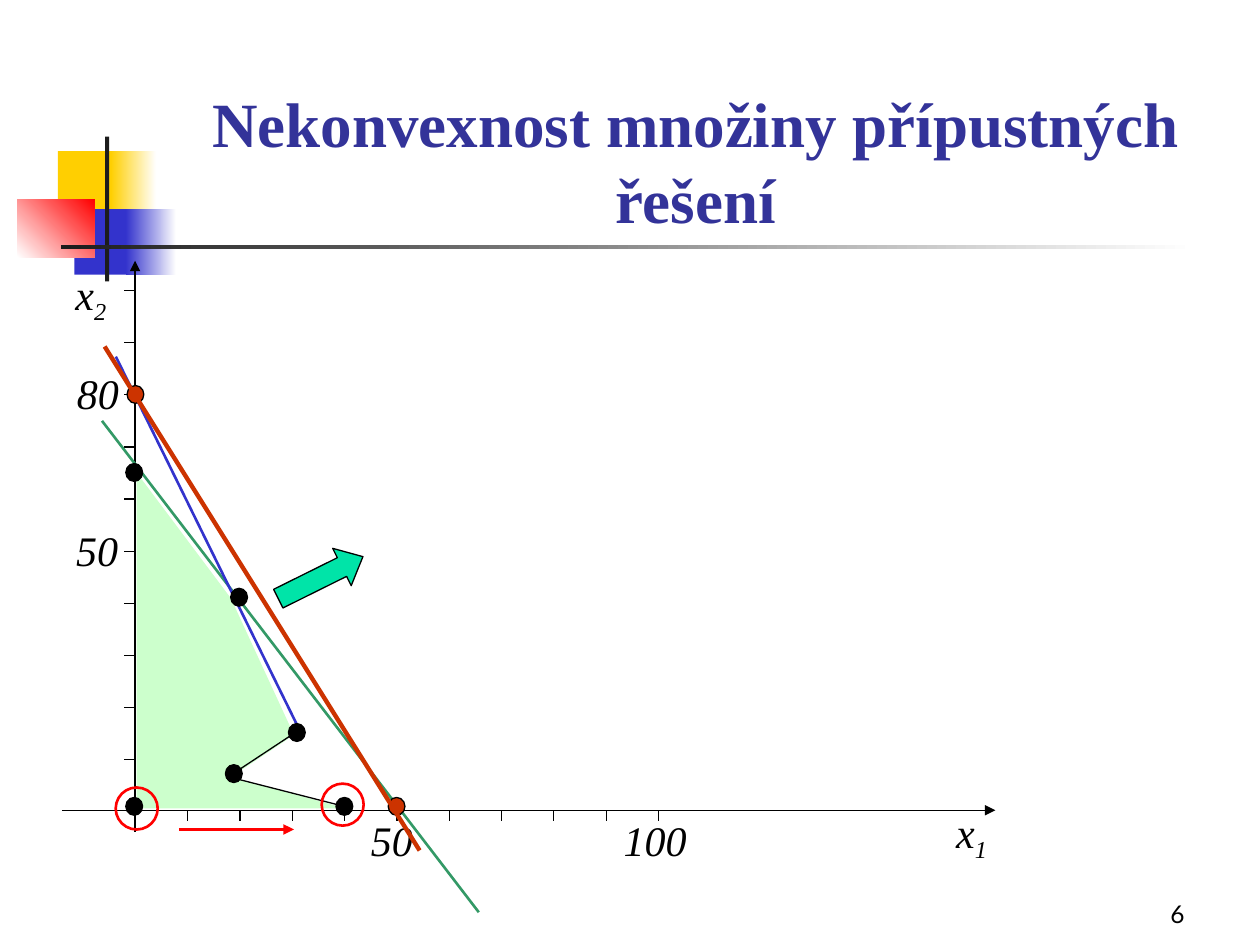
import pptx
import pptx.util
import pptx.dml.color
import pptx.enum.shapes
import pptx.enum.text
import pptx.oxml
import pptx.oxml.ns

Pt = pptx.util.Pt
SHAPE = pptx.enum.shapes.MSO_SHAPE
ALIGN = pptx.enum.text.PP_ALIGN
ANCHOR = pptx.enum.text.MSO_ANCHOR

THEME = {
    "black": "000000", "white": "FFFFFF", "dark": "1C1C1C", "yellow": "FFCF01",
    "blue": "3333CC", "red": "FF0000", "title": "333399", "region": "CCFFCC",
    "green": "339966", "objective": "CC3300", "arrow": "00E4A8",
    "serif": "Times New Roman", "sans": "Lato",
    "title_size": 36, "label_size": 24, "number_size": 14,
    "thin": 0.75, "medium": 1.5, "strong": 2, "heavy": 2.5,
}

# Content; every position is left, top, width, height or x, y in points.
TITLE = ("Nekonvexnost množiny přípustných řešení", (90.7, 48.2, 613.4, 90))
SLIDE_NUMBER = ("6", (534.2, 498.2, 149.8, 36))

# box, start colour, end colour (None: plain), angle
ORNAMENT = [
    ((33.1, 86.4, 34.6, 37.4), "yellow", None, 0),
    ((63.4, 86.4, 25.9, 37.4), "yellow", "white", 0),
    ((42.5, 119.5, 33.1, 37.4), "blue", None, 0),
    ((72, 119.5, 28.8, 37.4), "blue", "white", 0),
    ((10, 113.8, 44, 33.1), "white", "red", 45),
    ((60, 78, 2.4, 82.8), "dark", None, 0),
    ((35, 140, 648, 2.4), "dark", "white", 0),
]

REGION = [(78, 270), (78, 462), (198, 462), (132, 444), (168, 420), (132, 342)]

AXIS_NAMES = [("x", "1", (539.3, 457.2)), ("x", "2", (36, 149.8))]
AXIS_NAME_SIZE = (77.8, 40.3)
TICK_LABELS = [
    ("50", (188, 462.2)), ("50", (19.5, 296)),
    ("100", (338.4, 462.2)), ("80", (20, 206.6)),
]
TICK_LABEL_SIZE = (72, 36)

AXES = [((77.2, 475.2), (77.2, 149)), ((35.3, 463), (568.8, 463))]
TICK_COUNT, TICK_LENGTH = 10, 6
X_TICKS = {"first": 107.2, "step": 29.9, "top": 463.3}
Y_TICKS = {"first": 434.2, "step": 29.8, "left": 71}

CONSTRAINTS = [
    ((58.3, 240.5), (273.6, 521.3), "green", "medium"),
    ((66.2, 203.8), (171.4, 417.6), "blue", "medium"),
]
OBJECTIVE = ((59.8, 198), (239.8, 486), "objective", "heavy")
NOTCH = [
    ((169.2, 418.3), (133.2, 442.1), "black", "thin"),
    ((131.8, 444.2), (199.4, 461.5), "black", "thin"),
]
OBJECTIVE_POINTS = [(77.4, 225.4), (226.6, 460.8)]
VERTICES = [(76.7, 270), (136.6, 341.3), (196.8, 460.8), (76.7, 460.8),
            (133.6, 442.1), (169.6, 418.6)]
POINT_SIZE = (9.6, 10.2)
GRADIENT_ARROW = {"box": (156.2, 318.2, 54, 23.8), "rotation": 333.6,
                  "adjustments": (0.5, 0.56)}
RINGS = [(78.1, 462), (195.8, 459.8)]
RING_SIZE = (24, 24)
MOVE = ((102.2, 474), (168, 474), "red", "strong")

presentation = pptx.Presentation()
presentation.slide_width, presentation.slide_height = Pt(720), Pt(540)
slide = presentation.slides.add_slide(presentation.slide_layouts[6])


def color(name):
    return pptx.dml.color.RGBColor.from_string(THEME[name])


def apply(target, values):
    for name, value in values.items():
        setattr(target, name, value)


def add_shape(kind, box, fill=None, outline=None, weight="thin"):
    shape = slide.shapes.add_shape(kind, *map(Pt, box))
    paint(shape, fill, outline, weight)
    return shape


def paint(shape, fill=None, outline=None, weight="thin"):
    shape.shadow.inherit = False
    for part, name in ((shape.fill, fill), (shape.line.fill, outline)):
        if name:
            part.solid()
            part.fore_color.rgb = color(name)
        else:
            part.background()
    if outline:
        shape.line.width = Pt(THEME[weight])


def add_ellipse(center, size, **look):
    corner = [middle - extent / 2 for middle, extent in zip(center, size)]
    add_shape(SHAPE.OVAL, (*corner, *size), **look)


def add_line(start, end, stroke="black", weight="thin", arrow=False):
    line = slide.shapes.add_connector(
        pptx.enum.shapes.MSO_CONNECTOR.STRAIGHT, *map(Pt, (*start, *end)))
    line.line.color.rgb = color(stroke)
    line.line.width = Pt(THEME[weight])
    if arrow:
        head = pptx.oxml.parse_xml(
            f'<a:tailEnd {pptx.oxml.ns.nsdecls("a")} type="triangle"/>')
        line.line._get_or_add_ln().append(head)
    line._element.spPr.append(pptx.oxml.parse_xml(
        f'<a:effectLst {pptx.oxml.ns.nsdecls("a")}/>'))


def add_text(box, text, size="label_size", font="serif", ink="black",
             subscript=None, align=ALIGN.CENTER, anchor=ANCHOR.TOP, **style):
    frame = slide.shapes.add_textbox(*map(Pt, box)).text_frame
    apply(frame, {"word_wrap": True, "vertical_anchor": anchor})
    paragraph = frame.paragraphs[0]
    paragraph.alignment = align
    for part in filter(None, (text, subscript)):
        run = paragraph.add_run()
        run.text = part
        apply(run.font, {"size": Pt(THEME[size]), "name": THEME[font], **style})
        run.font.color.rgb = color(ink)
    if subscript:
        run._r.get_or_add_rPr().set("baseline", "-25000")


for box, start, end, angle in ORNAMENT:
    block = add_shape(SHAPE.RECTANGLE, box, fill=start)
    if end:
        block.fill.gradient()
        block.fill.gradient_angle = angle
        for stop, name in zip(block.fill.gradient_stops, (start, end)):
            stop.color.rgb = color(name)

number, box = SLIDE_NUMBER
add_text(box, number, "number_size", "sans", align=ALIGN.RIGHT, anchor=ANCHOR.BOTTOM)

outline = slide.shapes.build_freeform(*REGION[0], scale=Pt(1))
outline.add_line_segments(REGION[1:], close=True)
paint(outline.convert_to_shape(), fill="region")

title, box = TITLE
add_text(box, title, "title_size", ink="title", anchor=ANCHOR.BOTTOM, bold=True)

for name, index, corner in AXIS_NAMES:
    add_text((*corner, *AXIS_NAME_SIZE), name, subscript=index,
             align=ALIGN.LEFT, italic=True)

for start, end in AXES:
    add_line(start, end, arrow=True)
for i in range(TICK_COUNT):
    x = X_TICKS["first"] + i * X_TICKS["step"]
    y = Y_TICKS["first"] - i * Y_TICKS["step"]
    add_line((x, X_TICKS["top"]), (x, X_TICKS["top"] + TICK_LENGTH))
    add_line((Y_TICKS["left"], y), (Y_TICKS["left"] + TICK_LENGTH, y))
for label, corner in TICK_LABELS:
    add_text((*corner, *TICK_LABEL_SIZE), label, italic=True)

for constraint in CONSTRAINTS:
    add_line(*constraint)
for point in OBJECTIVE_POINTS:
    add_ellipse(point, POINT_SIZE, fill="objective", outline="black")
add_line(*OBJECTIVE)

direction = add_shape(SHAPE.RIGHT_ARROW, GRADIENT_ARROW["box"], "arrow", "black")
direction.rotation = GRADIENT_ARROW["rotation"]
for i, value in enumerate(GRADIENT_ARROW["adjustments"]):
    direction.adjustments[i] = value

for edge in NOTCH:
    add_line(*edge)
for vertex in VERTICES:
    add_ellipse(vertex, POINT_SIZE, fill="black", outline="black")
for ring in RINGS:
    add_ellipse(ring, RING_SIZE, outline="red", weight="medium")
add_line(*MOVE, arrow=True)

presentation.save("out.pptx")
